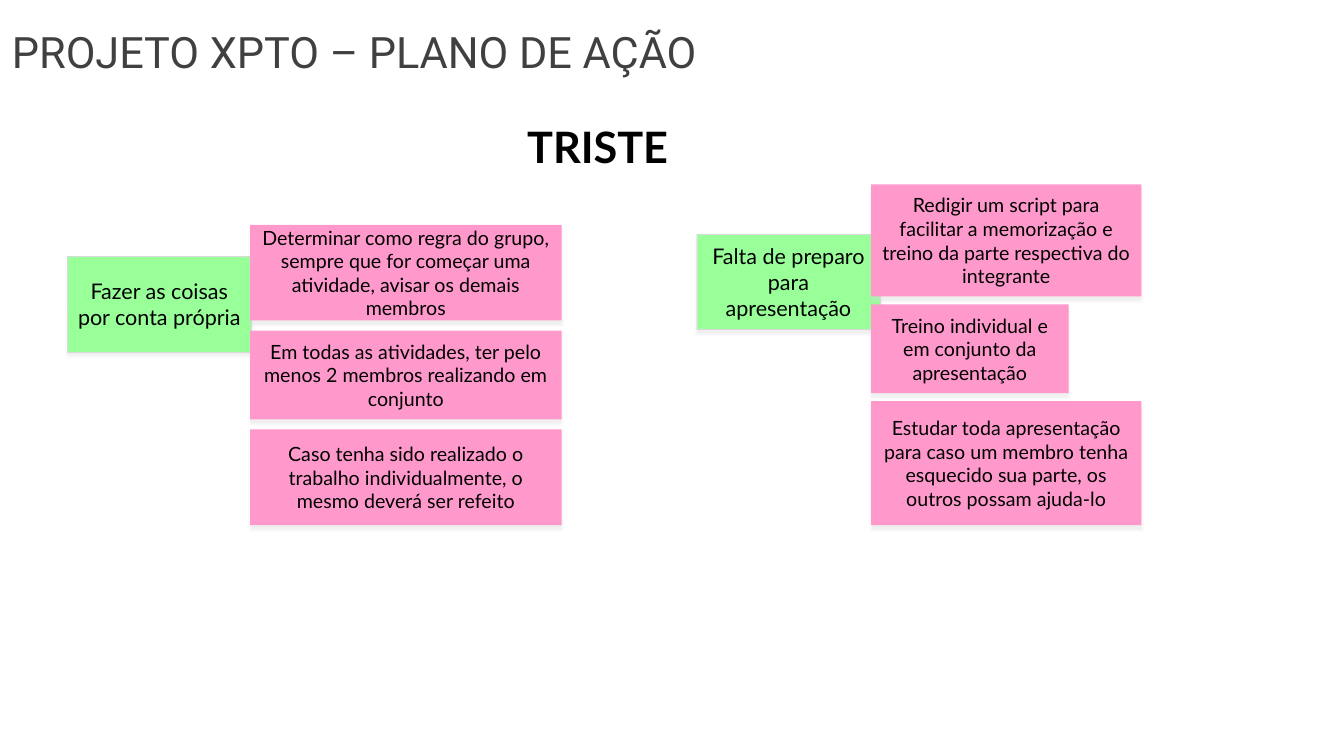
from dataclasses import dataclass
from lxml.etree import SubElement as Sub
from pptx import Presentation
from pptx.dml.color import RGBColor as RGB
from pptx.enum.shapes import MSO_SHAPE as Shape
from pptx.enum.text import MSO_ANCHOR as Anchor, MSO_AUTO_SIZE as Fit, PP_ALIGN as Align
from pptx.oxml.ns import qn
from pptx.util import Inches, Pt


@dataclass(frozen=True)
class Theme:
    title: str = "404040"
    ink: str = "000000"
    cause: str = "99FF99"
    action: str = "FF99CC"
    edge: str = "D9D9D9"
    head: str = "Roboto"
    body: str = "Lato"
    large: float = 30.9
    medium: float = 15.4
    small: float = 14


class Board:
    def __init__(self, slide, theme):
        self.slide = slide
        self.theme = theme

    def style(self, frame, text, size, font, color, bold=False):
        frame.text = text
        para = frame.paragraphs[0]
        face = para.runs[0].font
        face.size, face.name, face.bold = Pt(size), font, bold
        face.color.rgb = RGB.from_string(color)
        return para

    def label(self, text, box, font, color, bold=False, wrap=True, after=0):
        frame = self.slide.shapes.add_textbox(*map(Inches, box)).text_frame
        frame.word_wrap = wrap
        frame.auto_size = Fit.NONE if wrap else Fit.SHAPE_TO_FIT_TEXT
        para = self.style(frame, text, self.theme.large, font, color, bold)
        para.space_after = Pt(after)

    def shade(self, note):
        note.shadow.inherit = False
        effects = note._element.spPr.find(qn("a:effectLst"))
        outer = Sub(effects, qn("a:outerShdw"), blurRad=str(Pt(2)), dist=str(Pt(3)),
                    dir="5400000", algn="t", rotWithShape="0")
        color = Sub(outer, qn("a:srgbClr"), val=self.theme.edge)
        Sub(color, qn("a:alpha"), val="40000")

    def note(self, text, box, fill, size, edge=False):
        note = self.slide.shapes.add_shape(Shape.RECTANGLE, *map(Inches, box))
        note.fill.solid()
        note.fill.fore_color.rgb = RGB.from_string(fill)
        if edge:
            note.line.color.rgb = RGB.from_string(self.theme.edge)
            note.line.width = Pt(0.25)
        else:
            note.line.fill.background()
        self.shade(note)
        frame = note.text_frame
        frame.word_wrap = True
        frame.vertical_anchor = Anchor.MIDDLE
        para = self.style(frame, text, size, self.theme.body, self.theme.ink)
        para.alignment = Align.CENTER

    def cause(self, text, left, top):
        self.note(text, (left, top, 1.82, 0.95), self.theme.cause, self.theme.medium, True)

    def stack(self, left, top, gap, actions):
        for text, width, height in actions:
            self.note(text, (left, top, width, height), self.theme.action, self.theme.small)
            top += height + gap


deck = Presentation()
deck.slide_width, deck.slide_height = Inches(13.33), Inches(7.5)
theme = Theme()
board = Board(deck.slides.add_slide(deck.slide_layouts[6]), theme)

board.label("PROJETO XPTO – PLANO DE AÇÃO", (0.02, 0.2, 11.85, 1.37),
            theme.head, theme.title, after=6.6)
board.label("TRISTE", (5.13, 1.14, 1.68, 0.62), theme.body, theme.ink, bold=True, wrap=False)

board.cause("Fazer as coisas por conta própria", 0.67, 2.54)
board.stack(2.48, 2.23, 0.1, [
    ("Determinar como regra do grupo, sempre que for começar uma atividade, "
     "avisar os demais membros", 3.09, 0.95),
    ("Em todas as atividades, ter pelo menos 2 membros realizando em conjunto", 3.09, 0.88),
    ("Caso tenha sido realizado o trabalho individualmente, o mesmo deverá ser refeito",
     3.09, 0.95),
])

board.cause("Falta de preparo para apresentação", 6.91, 2.32)
board.stack(8.64, 1.83, 0.08, [
    ("Redigir um script para facilitar a memorização e treino da parte respectiva "
     "do integrante", 2.68, 1.11),
    ("Treino individual e em conjunto da apresentação", 1.96, 0.88),
    ("Estudar toda apresentação para caso um membro tenha esquecido sua parte, "
     "os outros possam ajuda-lo", 2.68, 1.23),
])

deck.save("out.pptx")
